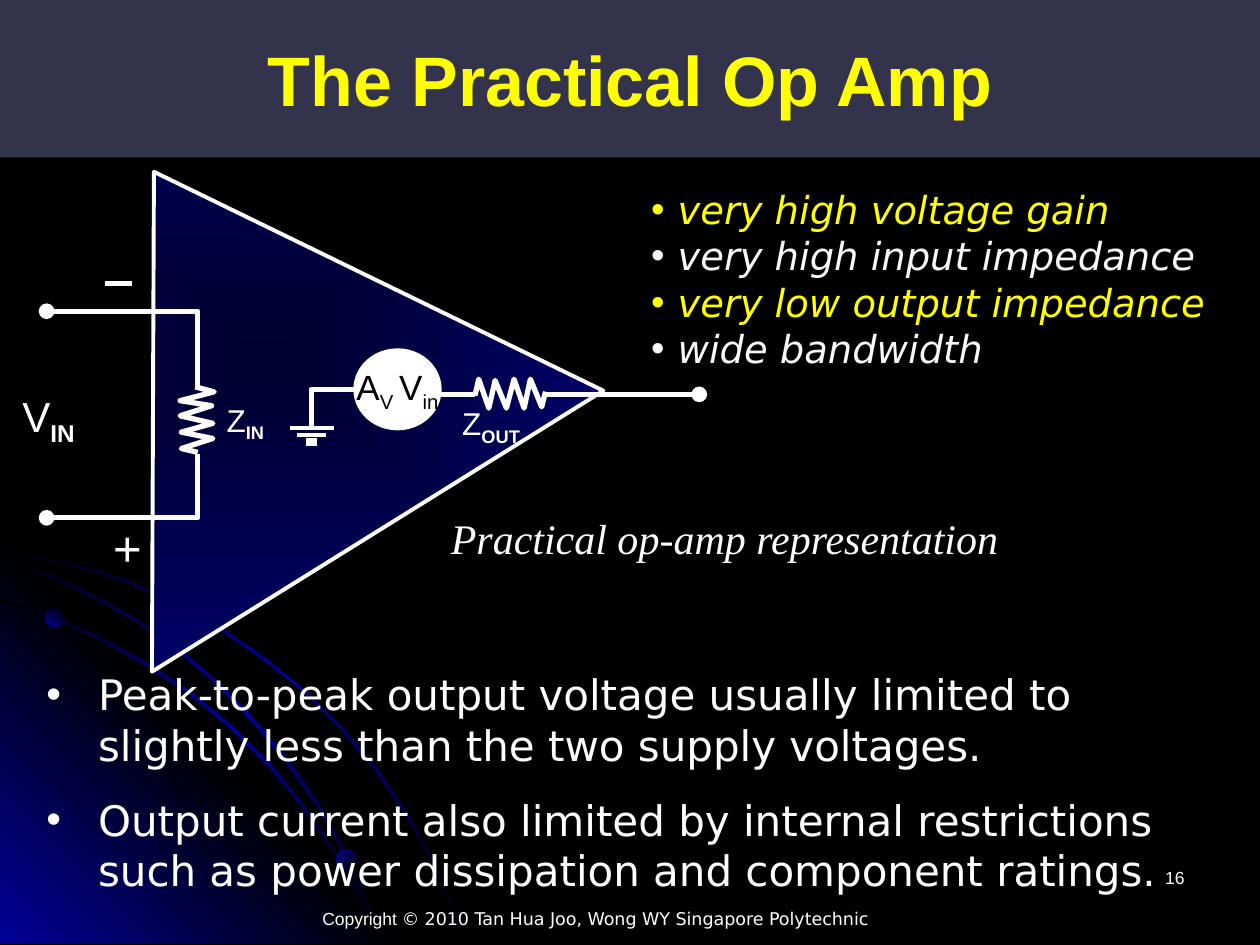
from dataclasses import dataclass

from lxml import etree
from pptx import Presentation
from pptx import util as u
from pptx.dml.color import RGBColor
from pptx.enum import shapes, text
from pptx.oxml import ns

BLACK = RGBColor(0x00, 0x00, 0x00)
WHITE = RGBColor(0xFF, 0xFF, 0xFF)
OFF_WHITE = RGBColor(0xF8, 0xF8, 0xF8)
YELLOW = RGBColor(0xFF, 0xFF, 0x00)
BLUE = RGBColor(0x01, 0x01, 0x99)
NIGHT = RGBColor(0x00, 0x00, 0x2F)
NAVY = RGBColor(0x00, 0x00, 0x66)
SLATE = RGBColor(0x33, 0x33, 0x4C)
SANS, WIDE, SERIF = "Arial", "DejaVu Sans", "Times New Roman"
LEFT, CENTER, RIGHT = (text.PP_ALIGN.LEFT, text.PP_ALIGN.CENTER, text.PP_ALIGN.RIGHT)

Point = tuple[float, float]


@dataclass
class Span:
    words: str
    sub: bool = False
    bold: bool = False
    font: str | None = None


@dataclass
class Wire:
    points: list[Point]
    dot: bool = False


@dataclass
class Stroke:
    start: Point
    end: Point
    width: float = 3
    dot: bool = False


@dataclass
class Label:
    box: tuple[float, float, float, float]
    spans: list[Span]
    size: float
    font: str = SANS
    italic: bool = False


RIBBONS: list[list[Point]] = [
    [(0.57, 4.47), (0.28, 4.41), (0, 4.35), (0, 4.38), (0.28, 4.43), (0.56, 4.49), (0.97, 4.61),
     (1.35, 4.78), (1.73, 4.99), (2.08, 5.23), (2.41, 5.49), (2.71, 5.79), (2.98, 6.12),
     (3.23, 6.49), (3.37, 6.73), (3.5, 6.98), (3.6, 7.23), (3.7, 7.49), (3.72, 7.49),
     (3.62, 7.23), (3.52, 6.98), (3.39, 6.73), (3.25, 6.48), (3, 6.11), (2.72, 5.78),
     (2.42, 5.48), (2.09, 5.21), (1.74, 4.97), (1.36, 4.77), (0.98, 4.59)],
    [(2.85, 7.14), (2.94, 7.32), (3.01, 7.49), (3.03, 7.49), (2.96, 7.3), (2.86, 7.12),
     (2.66, 6.76), (2.42, 6.4), (2.15, 6.06), (1.84, 5.76), (1.52, 5.49), (1.17, 5.26),
     (0.79, 5.05), (0.41, 4.88), (0, 4.75), (0, 4.77), (0.39, 4.9), (0.77, 5.07),
     (1.15, 5.28), (1.5, 5.51), (1.83, 5.78), (2.13, 6.08), (2.4, 6.41), (2.65, 6.77)],
    [(0, 4.42), (0, 4.44), (0.36, 4.57), (0.74, 4.75), (1.09, 4.94), (1.42, 5.18), (1.73, 5.44),
     (2.02, 5.75), (2.27, 6.05), (2.52, 6.41), (2.67, 6.67), (2.8, 6.94), (2.92, 7.22),
     (3.01, 7.49), (3.03, 7.49), (2.94, 7.2), (2.82, 6.93), (2.69, 6.65), (2.54, 6.39),
     (2.29, 6.03), (2.04, 5.73), (1.75, 5.43), (1.44, 5.16), (1.11, 4.93), (0.76, 4.73),
     (0.39, 4.55)],
]
CORNER: list[Point] = [(3.22, 7.49), (0, 7.49), (0, 4.27)]
ORBS = [(0.36, 4.83, 0.15, 315), (2.67, 6.74, 0.16, 45), (1.37, 4.73, 0.21, 315)]

WIRES = [
    Wire([(0.37, 2.47), (1.57, 2.47), (1.57, 2.79)], dot=True),
    Wire([(0.37, 4.11), (1.57, 4.11), (1.57, 3.78)], dot=True),
    Wire([(2.81, 3.09), (2.47, 3.09), (2.47, 3.4)]),
    Wire([(1.57, 3.59), (1.44, 3.56), (1.69, 3.48), (1.44, 3.43), (1.69, 3.36),
          (1.43, 3.3), (1.68, 3.22), (1.43, 3.18), (1.7, 3.11), (1.55, 3.07)]),
    Wire([(4.33, 3.11), (4.3, 3.23), (4.21, 3.01), (4.16, 3.24), (4.08, 3.01),
          (4.02, 3.24), (3.93, 3.02), (3.88, 3.24), (3.8, 3.01), (3.77, 3.14)]),
]
STROKES = [
    Stroke((2.3, 3.4), (2.65, 3.4), 2.25),
    Stroke((2.36, 3.45), (2.59, 3.45), 2.25),
    Stroke((2.43, 3.51), (2.52, 3.51), 4.5),
    Stroke((4.33, 3.13), (5.55, 3.13), dot=True),
    Stroke((0.83, 2.25), (1.05, 2.25)),
    Stroke((1.57, 3.6), (1.57, 4.08)),
    Stroke((1.57, 3.06), (1.57, 2.79)),
    Stroke((3.77, 3.13), (3.48, 3.13)),
]
LABELS = [
    Label((3.57, 3.16, 0.71, 0.4), [Span("Z"), Span("OUT", sub=True, bold=True)], 18),
    Label((1.7, 3.13, 0.52, 0.4), [Span("Z"), Span("IN", sub=True, bold=True)], 18),
    Label((0.8, 4.06, 0.43, 0.57), [Span("+")], 28),
    Label((0.08, 3.05, 0.65, 0.5), [Span("V"), Span("IN", sub=True, bold=True)], 24),
    Label((3.48, 4.02, 4.57, 0.5), [Span("Practical op-amp representation")], 24, SERIF, True),
]
TRAITS = [("very high voltage gain", YELLOW), ("very high input impedance", OFF_WHITE),
          ("very low output impedance", YELLOW), ("wide bandwidth", OFF_WHITE)]
LIMITS = [
    "Peak-to-peak output voltage usually limited to slightly less than the two supply voltages.",
    "Output current also limited by internal restrictions such as power dissipation"
    " and component ratings.",
]


def write(paragraph, spans: list[Span], *, size: float, font: str = SANS, color=WHITE,
          bold=False, italic=False, align=LEFT, hang=0.0, before=0.0):
    """Fill a paragraph; a positive hang gives it a bullet with that indent."""
    if hang:
        props = paragraph._p.get_or_add_pPr()
        props.set("marL", str(u.Inches(hang)))
        props.set("indent", str(-u.Inches(hang)))
        etree.SubElement(props, ns.qn("a:buFont"), typeface=SANS)
        etree.SubElement(props, ns.qn("a:buChar"), char="•")
    paragraph.alignment = align
    if before:
        paragraph.space_before = u.Pt(before)
    for span in spans:
        run = paragraph.add_run()
        run.text = span.words
        face = run.font
        face.name, face.size, face.color.rgb = span.font or font, u.Pt(size), color
        face.bold, face.italic = bold or span.bold, italic
        if span.sub:
            run._r.get_or_add_rPr().set("baseline", "-25000")


def add_text_frame(slide, box, wrap=True):
    frame = slide.shapes.add_textbox(*map(u.Inches, box)).text_frame
    frame.word_wrap = wrap
    return frame


def set_gradient(shape, colors: list[RGBColor], angle: float | None = None):
    """Spread colours evenly along a clockwise angle, or outward from the centre without one."""
    shape.fill.gradient()
    grad = shape._element.spPr.find(ns.qn("a:gradFill"))
    for child in list(grad):
        grad.remove(child)
    stops = etree.SubElement(grad, ns.qn("a:gsLst"))
    for i, color in enumerate(colors):
        stop = etree.SubElement(stops, ns.qn("a:gs"), pos=str(100000 * i // (len(colors) - 1)))
        etree.SubElement(stop, ns.qn("a:srgbClr"), val=str(color))
    if angle is None:
        center = etree.SubElement(grad, ns.qn("a:path"), path="shape")
        etree.SubElement(center, ns.qn("a:fillToRect"), l="50000", t="50000", r="50000", b="50000")
    else:
        etree.SubElement(grad, ns.qn("a:lin"), ang=str(int(angle * 60000)), scaled="0")


def set_line(shape, width: float, dot_end: str | None = None):
    shape.line.color.rgb = WHITE
    shape.line.width = u.Pt(width)
    if dot_end:
        etree.SubElement(shape.line._get_or_add_ln(), ns.qn(f"a:{dot_end}"), type="oval")


def add_outline(slide, points: list[Point], close: bool):
    start, *rest = [(u.Inches(x), u.Inches(y)) for x, y in points]
    builder = slide.shapes.build_freeform(*start)
    builder.add_line_segments(rest, close=close)
    shape = builder.convert_to_shape()
    shape.shadow.inherit = False
    return shape


def add_preset(slide, kind, box):
    shape = slide.shapes.add_shape(kind, *map(u.Inches, box))
    shape.shadow.inherit = False
    return shape


def add_stroke(slide, stroke: Stroke):
    line = slide.shapes.add_connector(shapes.MSO_CONNECTOR.STRAIGHT,
                                      *map(u.Inches, stroke.start + stroke.end))
    set_line(line, stroke.width, "tailEnd" if stroke.dot else None)
    etree.SubElement(line._element.spPr, ns.qn("a:effectLst"))


def draw_backdrop(slide):
    slide.background.fill.solid()
    slide.background.fill.fore_color.rgb = BLACK
    ribbon, *inner_ribbons = RIBBONS
    glows = [(ribbon, [BLACK, BLUE, BLACK], 45), (CORNER, [BLUE, BLACK, BLUE], 315)]
    glows += [(points, [BLACK, BLUE, BLACK], 45) for points in inner_ribbons]
    for points, colors, angle in glows:
        glow = add_outline(slide, points, close=True)
        set_gradient(glow, colors, angle)
        glow.line.fill.background()
    for left, top, side, angle in ORBS:
        orb = add_preset(slide, shapes.MSO_SHAPE.OVAL, (left, top, side, side))
        set_gradient(orb, [BLUE, BLACK], angle)
        orb.line.fill.background()


def draw_op_amp(slide):
    amp = add_preset(slide, shapes.MSO_SHAPE.ISOSCELES_TRIANGLE, (0, 1.11, 4.22, 3.36))
    amp.rotation = 328.1
    set_gradient(amp, [NIGHT, NAVY])
    set_line(amp, 2.25)
    source = add_preset(slide, shapes.MSO_SHAPE.OVAL, (2.82, 2.78, 0.67, 0.62))
    source.fill.solid()
    source.fill.fore_color.rgb = WHITE
    set_line(source, 2.25)
    source.text_frame.word_wrap = False
    source.text_frame.vertical_anchor = text.MSO_ANCHOR.MIDDLE
    write(source.text_frame.paragraphs[0],
          [Span("A"), Span("V ", sub=True), Span("V"), Span("in", sub=True)],
          size=20, color=BLACK, align=CENTER)
    for wire in WIRES:
        lead = add_outline(slide, wire.points, close=False)
        lead.fill.background()
        set_line(lead, 3, "headEnd" if wire.dot else None)
    for stroke in STROKES:
        add_stroke(slide, stroke)
    for label in LABELS:
        frame = add_text_frame(slide, label.box, wrap=False)
        write(frame.paragraphs[0], label.spans, size=label.size, font=label.font,
              italic=label.italic)


def write_points_and_footer(slide):
    traits = add_text_frame(slide, (5.07, 1.43, 4.93, 1.57))
    for i, (trait, color) in enumerate(TRAITS):
        write(traits.add_paragraph() if i else traits.paragraphs[0], [Span(trait)], size=22,
              font=WIDE, color=color, italic=True, hang=0.21)
    limits = add_text_frame(slide, (0.27, 5.26, 9.22, 1.9))
    for i, limit in enumerate(LIMITS):
        write(limits.add_paragraph() if i else limits.paragraphs[0], [Span(limit)], size=24,
              font=WIDE, hang=0.41, before=14 * i)
    rights = add_text_frame(slide, (1.73, 7.16, 5.99, 0.34))
    write(rights.paragraphs[0],
          [Span("Copyright "),
           Span("© 2010 Tan Hua Joo, Wong WY Singapore Polytechnic", font=WIDE)],
          size=10, align=CENTER)
    number = add_text_frame(slide, (7.17, 6.83, 2.33, 0.5))
    write(number.paragraphs[0], [Span("16")], size=10, align=RIGHT)


def place_title(slide):
    title = slide.shapes.title
    title.left, title.top, title.width, title.height = map(u.Inches, (0, 0, 10, 1.25))
    title.fill.solid()
    title.fill.fore_color.rgb = SLATE
    title.text_frame.vertical_anchor = text.MSO_ANCHOR.MIDDLE
    write(title.text_frame.paragraphs[0], [Span("The Practical Op Amp")], size=40,
          color=YELLOW, bold=True, align=CENTER)


def main():
    deck = Presentation()
    deck.slide_width, deck.slide_height = u.Inches(10), u.Inches(7.5)
    slide = deck.slides.add_slide(deck.slide_layouts[5])
    place_title(slide)
    draw_backdrop(slide)
    draw_op_amp(slide)
    write_points_and_footer(slide)
    deck.save("out.pptx")


if __name__ == "__main__":
    main()
